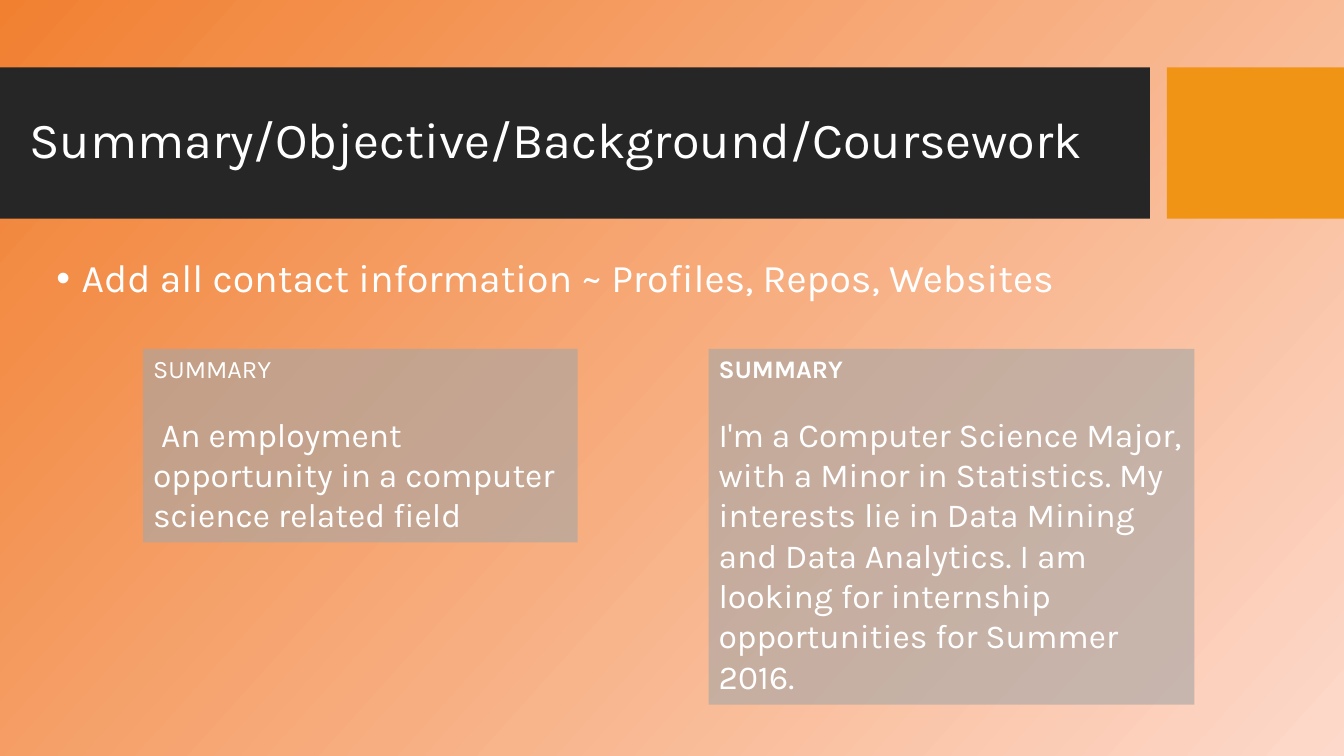
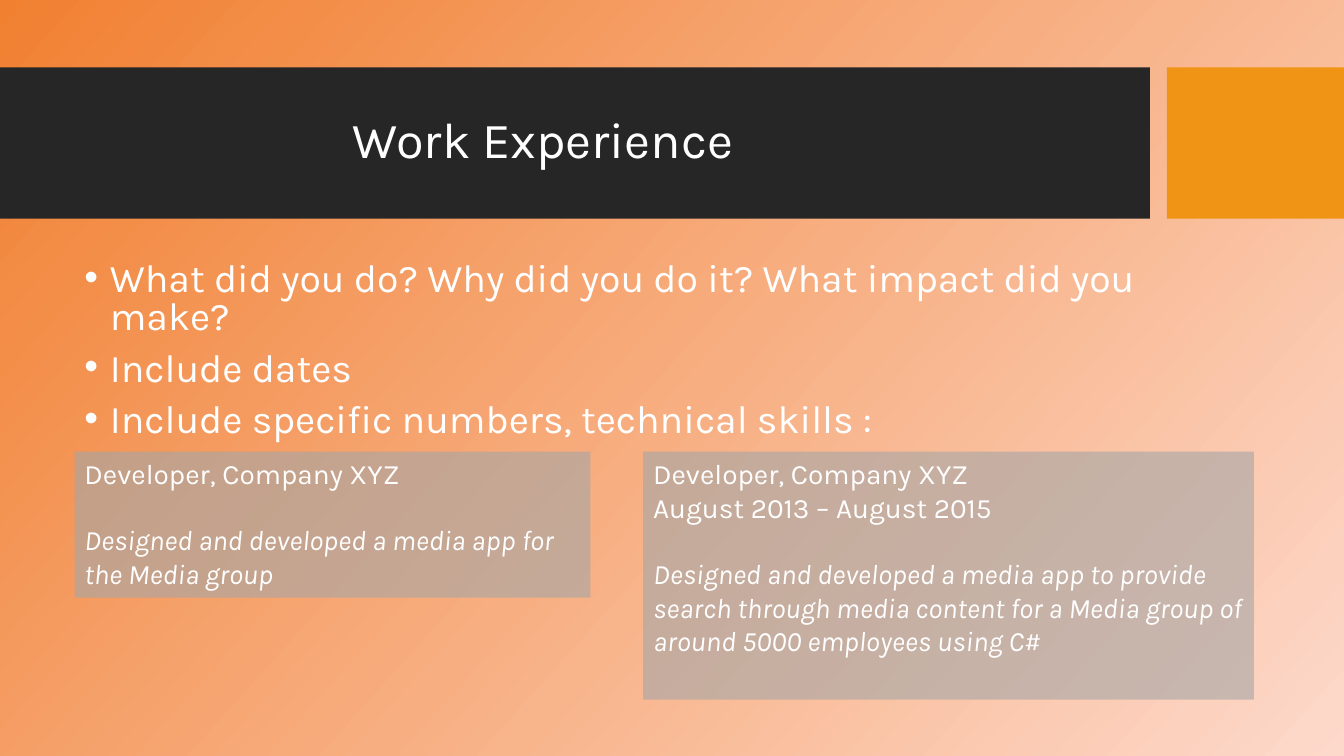
"""Build two resume advice slides with a shared gradient, title band and panels."""
import lxml.etree
import pptx
import pptx.dml.color
import pptx.enum.dml
import pptx.enum.shapes
import pptx.enum.text
import pptx.oxml.ns
import pptx.util

Cm = pptx.util.Cm
Pt = pptx.util.Pt
qn = pptx.oxml.ns.qn

COLORS = {
    "gradient_start": "F18031",
    "gradient_end": "FDD9CB",
    "band": "262626",
    "accent": "F09415",
    "panel": "A6A6A6",
    "text": "FFFFFF",
}
FONT = "Karla"
SLIDE_WIDTH, SLIDE_HEIGHT = 33.87, 19.05
BAND_TOP, BAND_HEIGHT = 1.7, 3.81
BAND_WIDTH, ACCENT_LEFT = 28.98, 29.41
TITLE_TOP, TITLE_HEIGHT, TITLE_RIGHT = 2.08, 3, 28.6
BULLET_INDENT = 0.64
PANEL_OPACITY = 61
LINE_RATIO = 1.17


def color(name):
    return pptx.dml.color.RGBColor.from_string(COLORS[name])


def style_font(paragraph, size, bold=False, italic=False):
    for run in paragraph.runs:
        run.font.name = FONT
        run.font.size = Pt(size)
        run.font.bold = bold
        run.font.italic = italic
        run.font.color.rgb = color("text")


def set_background(master):
    fill = master.background.fill
    fill.gradient()
    fill.gradient_angle = 318
    for stop, name in zip(fill.gradient_stops, ("gradient_start", "gradient_end")):
        stop.color.rgb = color(name)


def add_rectangle(slide, left, top, width, height, fill_name):
    shape = slide.shapes.add_shape(
        pptx.enum.shapes.MSO_SHAPE.RECTANGLE, Cm(left), Cm(top), Cm(width), Cm(height))
    shape.shadow.inherit = False
    shape.fill.solid()
    shape.fill.fore_color.rgb = color(fill_name)
    shape.line.fill.background()
    return shape


def add_titled_slide(presentation, text, title_left):
    slide = presentation.slides.add_slide(presentation.slide_layouts[5])
    title = slide.shapes.title
    for left, right, fill_name in ((0, BAND_WIDTH, "band"),
                                   (ACCENT_LEFT, SLIDE_WIDTH, "accent")):
        band = add_rectangle(slide, left, BAND_TOP, right - left, BAND_HEIGHT, fill_name)
        title.element.addprevious(band.element)
    title.left, title.top = Cm(title_left), Cm(TITLE_TOP)
    title.width, title.height = Cm(TITLE_RIGHT - title_left), Cm(TITLE_HEIGHT)
    frame = title.text_frame
    frame.text = text
    frame.auto_size = pptx.enum.text.MSO_AUTO_SIZE.NONE
    frame.vertical_anchor = pptx.enum.text.MSO_ANCHOR.MIDDLE
    paragraph = frame.paragraphs[0]
    paragraph.alignment = pptx.enum.text.PP_ALIGN.LEFT
    paragraph.line_spacing = 0.9
    style_font(paragraph, 36)
    return slide


def add_bullets(slide, left, top, width, height, items, line_spacing):
    box = slide.shapes.add_textbox(Cm(left), Cm(top), Cm(width), Cm(height))
    frame = box.text_frame
    frame.word_wrap = True
    frame.text = "\n".join(items)
    for index, paragraph in enumerate(frame.paragraphs):
        properties = paragraph._p.get_or_add_pPr()
        properties.set("marL", str(Cm(BULLET_INDENT)))
        properties.set("indent", str(-Cm(BULLET_INDENT)))
        lxml.etree.SubElement(properties, qn("a:buFont")).set("typeface", "Arial")
        lxml.etree.SubElement(properties, qn("a:buChar")).set("char", "•")
        paragraph.line_spacing = line_spacing
        if index:
            paragraph.space_before = Pt(10)
        style_font(paragraph, 28)


def add_panel(slide, left, top, width, height, heading, body, heading_size, body_size,
              bold=False, italic=False, first_indent=0):
    panel = add_rectangle(slide, left, top, width, height, "panel")
    fill_color = panel.element.spPr.find(qn("a:solidFill")).find(qn("a:srgbClr"))
    lxml.etree.SubElement(fill_color, qn("a:alpha")).set("val", str(PANEL_OPACITY * 1000))
    frame = panel.text_frame
    frame.word_wrap = True
    frame.vertical_anchor = pptx.enum.text.MSO_ANCHOR.TOP
    frame.text = "\n".join([*heading, body])
    *heading_paragraphs, body_paragraph = frame.paragraphs
    for paragraph in frame.paragraphs:
        paragraph.alignment = pptx.enum.text.PP_ALIGN.LEFT
    for paragraph in heading_paragraphs:
        style_font(paragraph, heading_size, bold=bold)
    body_paragraph.space_before = Pt(round(heading_size * LINE_RATIO, 1))
    body_paragraph._p.get_or_add_pPr().set("indent", str(Cm(first_indent)))
    style_font(body_paragraph, body_size, italic=italic)


def build_summary(presentation):
    slide = add_titled_slide(presentation, "Summary/Objective/Background/Coursework", 0.48)
    add_bullets(slide, 1.17, 6.4, 29.51, 2.24,
                ["Add all contact information ~ Profiles, Repos, Websites"], 0.9)
    top = 8.79
    add_panel(slide, 17.86, top, 12.24, 8.97, ["SUMMARY"],
              "I'm a Computer Science Major, with a Minor in Statistics. "
              "My interests lie in Data Mining and Data Analytics. "
              "I am looking for internship opportunities for Summer 2016.",
              18, 24, bold=True)
    add_panel(slide, 3.61, top, 10.95, 4.88, ["SUMMARY"],
              "An employment opportunity in a computer science related field",
              18, 24, first_indent=0.2)


def build_experience(presentation):
    slide = add_titled_slide(presentation, "Work Experience", 8.64)
    add_bullets(slide, 1.88, 6.5, 29.72, 3.96,
                ["What did you do? Why did you do it? What impact did you make?",
                 "Include dates",
                 "Include specific numbers, technical skills :"], 0.8)
    top = 11.38
    role = "Developer, Company XYZ"
    add_panel(slide, 1.88, top, 13, 3.68, [role],
              "Designed and developed a media app for the Media group",
              20, 20, italic=True)
    add_panel(slide, 16.21, top, 15.39, 6.25, [role, "August 2013 – August 2015"],
              "Designed and developed a media app to provide search through media "
              "content for a Media group of around 5000 employees using C#",
              20, 20, italic=True)


def main():
    presentation = pptx.Presentation()
    presentation.slide_width = Cm(SLIDE_WIDTH)
    presentation.slide_height = Cm(SLIDE_HEIGHT)
    set_background(presentation.slide_master)
    build_summary(presentation)
    build_experience(presentation)
    presentation.save("out.pptx")


if __name__ == "__main__":
    main()
